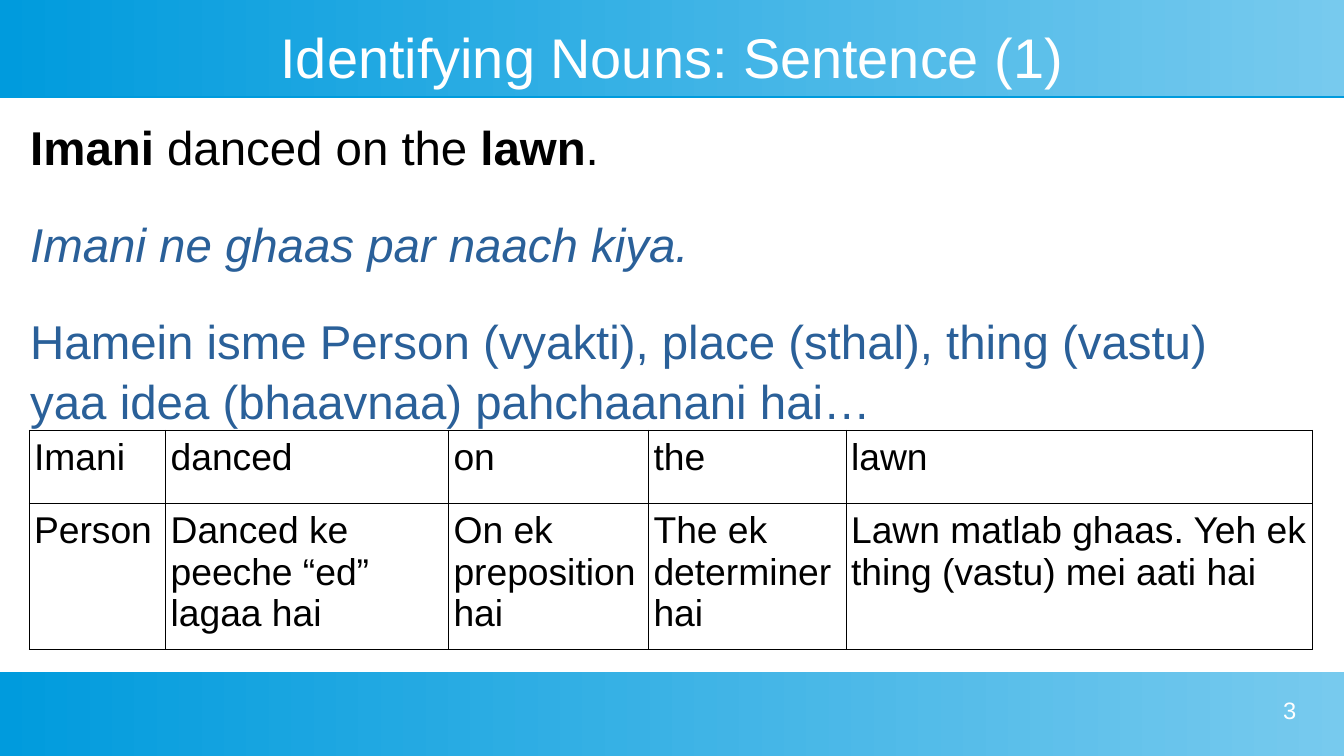
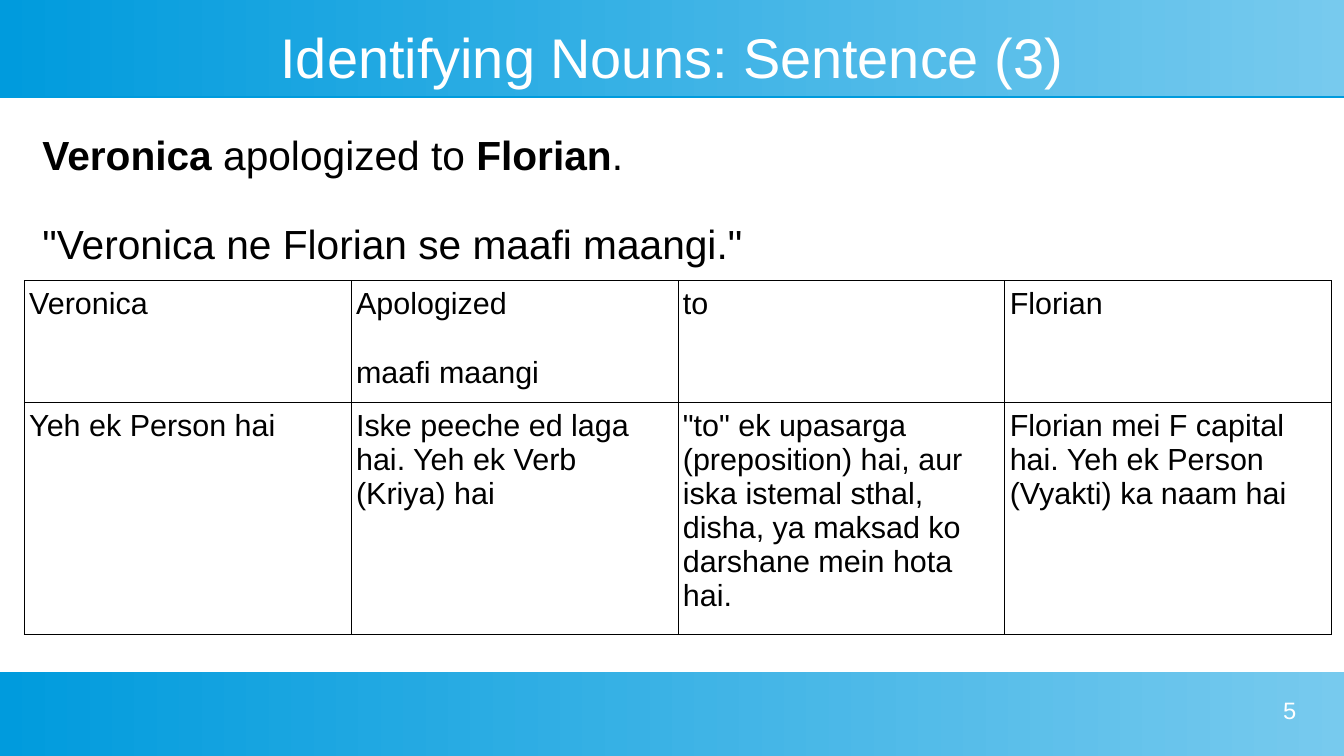
from dataclasses import dataclass

from lxml.etree import SubElement
from pptx import Presentation
from pptx.dml.color import RGBColor
from pptx.enum.shapes import MSO_SHAPE as Shape
from pptx.enum.text import MSO_ANCHOR as Anchor, PP_ALIGN as Align
from pptx.oxml.ns import qn
from pptx.util import Inches, Pt


@dataclass(frozen=True)
class Theme:
    font: str = "Arial"
    black: RGBColor = RGBColor(0x00, 0x00, 0x00)
    white: RGBColor = RGBColor(0xFF, 0xFF, 0xFF)
    hindi_blue: RGBColor = RGBColor(0x2A, 0x60, 0x99)
    band_dark: RGBColor = RGBColor(0x00, 0x9B, 0xDD)
    band_light: RGBColor = RGBColor(0x77, 0xCA, 0xEE)
    title_size: int = 33
    number_size: int = 14
    body_spacing: float = 1.05
    body_gap: int = 22
    cell_gap: float = 20.7
    border_width: float = 0.57


THEME = Theme()
WIDTH, HEIGHT = 11.02, 6.2
BANDS = ((0, 0.79), (5.51, 0.69))


def inches(*lengths):
    return [Inches(length) for length in lengths]


def add_run(paragraph, text, size, color=THEME.black, bold=False, italic=False):
    run = paragraph.add_run()
    run.text = text
    font = run.font
    font.name, font.size = THEME.font, Pt(size)
    font.bold, font.italic = bold, italic
    font.color.rgb = color


def set_insets(target, horizontal, vertical):
    target.margin_left = target.margin_right = Inches(horizontal)
    target.margin_top = target.margin_bottom = Inches(vertical)


def fill_paragraphs(frame, paragraphs, size, gap, spacing=None):
    """Write paragraphs, each a list of (text, run style) pairs."""
    for index, runs in enumerate(paragraphs):
        paragraph = frame.add_paragraph() if index else frame.paragraphs[0]
        if index:
            paragraph.space_before = Pt(gap)
        if spacing:
            paragraph.line_spacing = spacing
        for text, style in runs:
            add_run(paragraph, text, size, **style)


def add_band(slide, top, height):
    band = slide.shapes.add_shape(Shape.RECTANGLE, *inches(0, top, WIDTH, height))
    band.line.fill.background()
    band.fill.gradient()
    band.fill.gradient_angle = 0
    for stop, color in zip(band.fill.gradient_stops, (THEME.band_dark, THEME.band_light)):
        stop.color.rgb = color
    band.shadow.inherit = False
    effects = band.element.spPr.find(qn("a:effectLst"))
    shadow = SubElement(effects, qn("a:outerShdw"), dist=str(Pt(0.9)), dir="5400000",
                        algn="ctr", rotWithShape="0")
    SubElement(shadow, qn("a:srgbClr"), val=str(THEME.band_dark))
    return band


def move_bands_to_layout(slide):
    """Draw the bands once and hand them to the layout, behind its title."""
    tree = slide.slide_layout.shapes.element
    for placeholder in list(slide.slide_layout.placeholders)[1:]:
        tree.remove(placeholder.element)
    bands = [add_band(slide, *band) for band in BANDS]
    for position, band in enumerate(bands, start=2):
        tree.insert(position, band.element)


def set_title(slide, text):
    title = slide.shapes.title
    title.left, title.top, title.width, title.height = inches(0.39, 0.2, 10.24, 0.52)
    frame = title.text_frame
    frame.vertical_anchor = Anchor.MIDDLE
    set_insets(frame, 0, 0)
    frame.paragraphs[0].alignment = Align.CENTER
    add_run(frame.paragraphs[0], text, THEME.title_size, THEME.white)


def add_text(slide, box):
    frame = slide.shapes.add_textbox(*inches(*box)).text_frame
    frame.word_wrap = True
    return frame


def add_body(slide, box, paragraphs, size):
    frame = add_text(slide, box)
    set_insets(frame, 0.1, 0.05)
    fill_paragraphs(frame, paragraphs, size, THEME.body_gap, THEME.body_spacing)


def add_number(slide, number):
    frame = add_text(slide, (8.07, 5.71, 2.56, 0.39))
    set_insets(frame, 0, 0)
    frame.paragraphs[0].alignment = Align.RIGHT
    add_run(frame.paragraphs[0], str(number), THEME.number_size, THEME.white)


def set_borders(cell):
    properties = cell._tc.get_or_add_tcPr()
    for side in ("a:lnL", "a:lnR", "a:lnT", "a:lnB"):
        line = SubElement(properties, qn(side), w=str(Pt(THEME.border_width)))
        fill = SubElement(line, qn("a:solidFill"))
        SubElement(fill, qn("a:srgbClr"), val=str(THEME.black))


def add_word_table(slide, left, top, columns, heights, rows, size):
    """Add a bordered table; a line break in a cell starts a new paragraph."""
    frame = slide.shapes.add_table(len(rows), len(columns),
                                   *inches(left, top, sum(columns), sum(heights)))
    table = frame.table
    table.first_row = table.horz_banding = False
    for column, width in zip(table.columns, columns):
        column.width = Inches(width)
    for row, height, texts in zip(table.rows, heights, rows):
        row.height = Inches(height)
        for cell, text in zip(row.cells, texts):
            set_insets(cell, 0.04, 0.05)
            set_borders(cell)
            cell.fill.background()
            paragraphs = [[(part, {})] for part in text.split("\n")]
            fill_paragraphs(cell.text_frame, paragraphs, size, THEME.cell_gap)


def main():
    presentation = Presentation()
    presentation.slide_width, presentation.slide_height = inches(WIDTH, HEIGHT)
    layout = presentation.slide_layouts.get_by_name("Title Only")
    bold, hindi = {"bold": True}, {"color": THEME.hindi_blue}

    slide = presentation.slides.add_slide(layout)
    move_bands_to_layout(slide)
    set_title(slide, "Identifying Nouns: Sentence (1)")
    add_body(slide, (0.15, 0.9, 10, 4.07), [
        [("Imani", bold), (" danced on the ", {}), ("lawn", bold), (".", {})],
        [("Imani ne ghaas par naach kiya.", {**hindi, "italic": True})],
        [("Hamein isme Person (vyakti), place (sthal), thing (vastu) yaa idea "
          "(bhaavnaa) pahchaanani hai…", hindi)],
    ], size=28)
    add_word_table(slide, 0.24, 3.53, (1.12, 2.32, 1.64, 1.62, 3.82), (0.6, 1.2), [
        ("Imani", "danced", "on", "the", "lawn"),
        ("Person", "Danced ke peeche “ed” lagaa hai", "On ek preposition hai",
         "The ek determiner hai", "Lawn matlab ghaas. Yeh ek thing (vastu) mei aati hai"),
    ], size=22)
    add_number(slide, 3)

    slide = presentation.slides.add_slide(layout)
    set_title(slide, "Identifying Nouns: Sentence (3)")
    add_body(slide, (0.25, 1, 10, 2), [
        [("Veronica", bold), (" apologized to ", {}), ("Florian", bold), (".", {})],
        [('"Veronica ne Florian se maafi maangi."', {})],
    ], size=24)
    add_word_table(slide, 0.2, 2.3, (2.68,) * 4, (1, 1.89), [
        ("Veronica", "Apologized\nmaafi maangi", "to", "Florian"),
        ("Yeh ek Person hai", "Iske peeche ed laga hai. Yeh ek Verb (Kriya) hai",
         '"to" ek upasarga (preposition) hai, aur iska istemal sthal, disha, '
         "ya maksad ko darshane mein hota hai.",
         "Florian mei F capital hai. Yeh ek Person (Vyakti) ka naam hai"),
    ], size=18)
    add_number(slide, 5)

    presentation.save("out.pptx")


if __name__ == "__main__":
    main()
